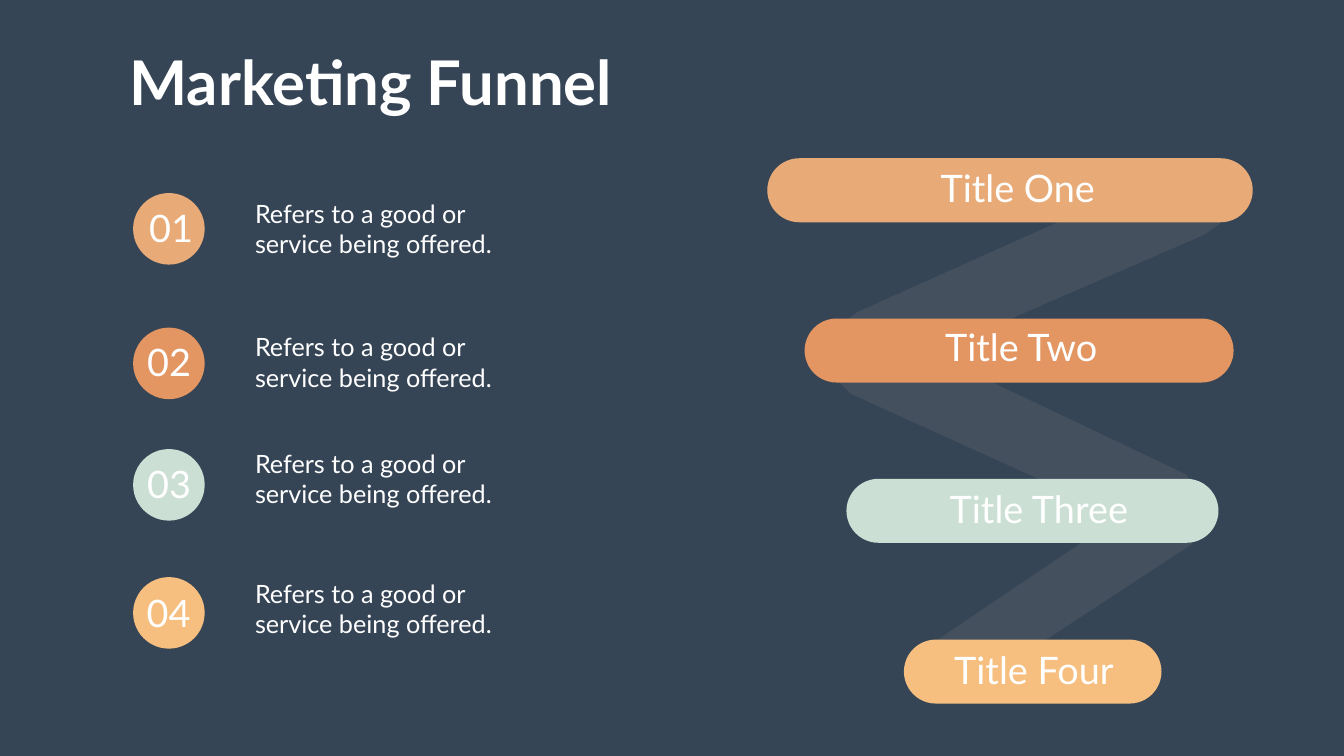
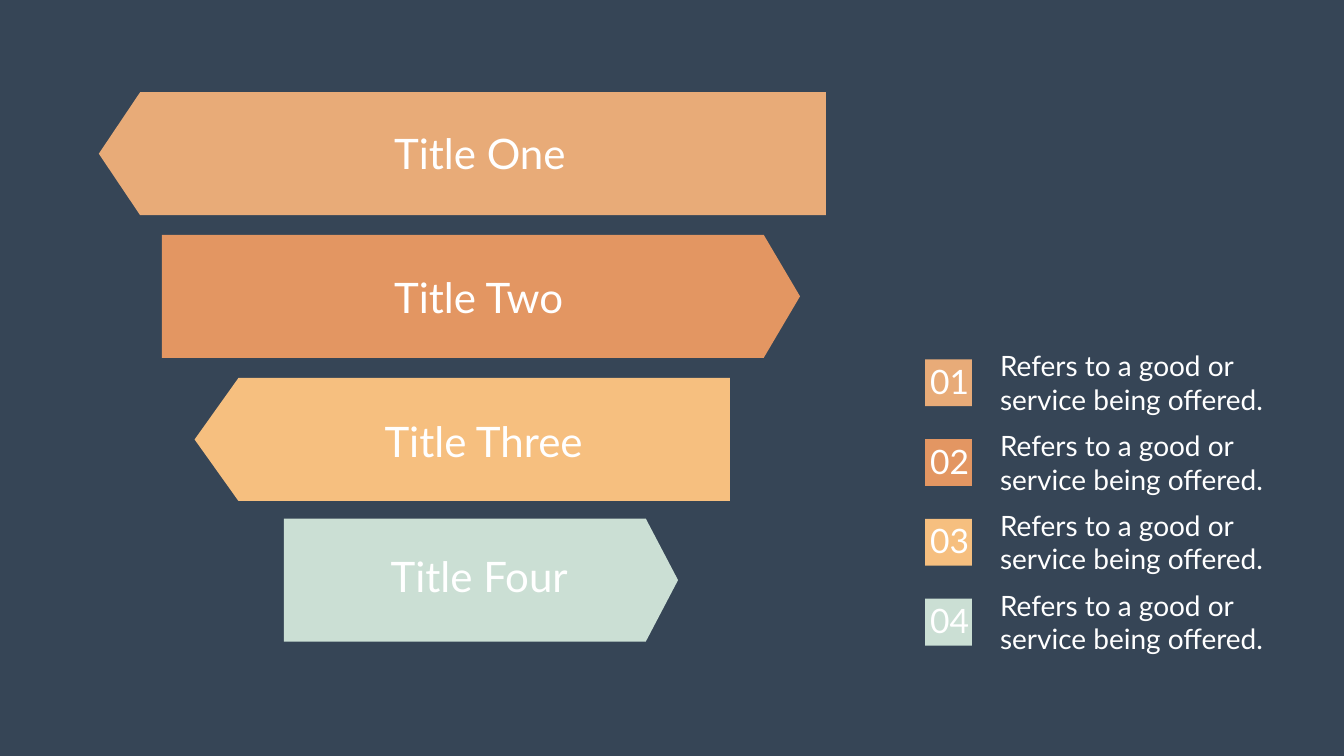
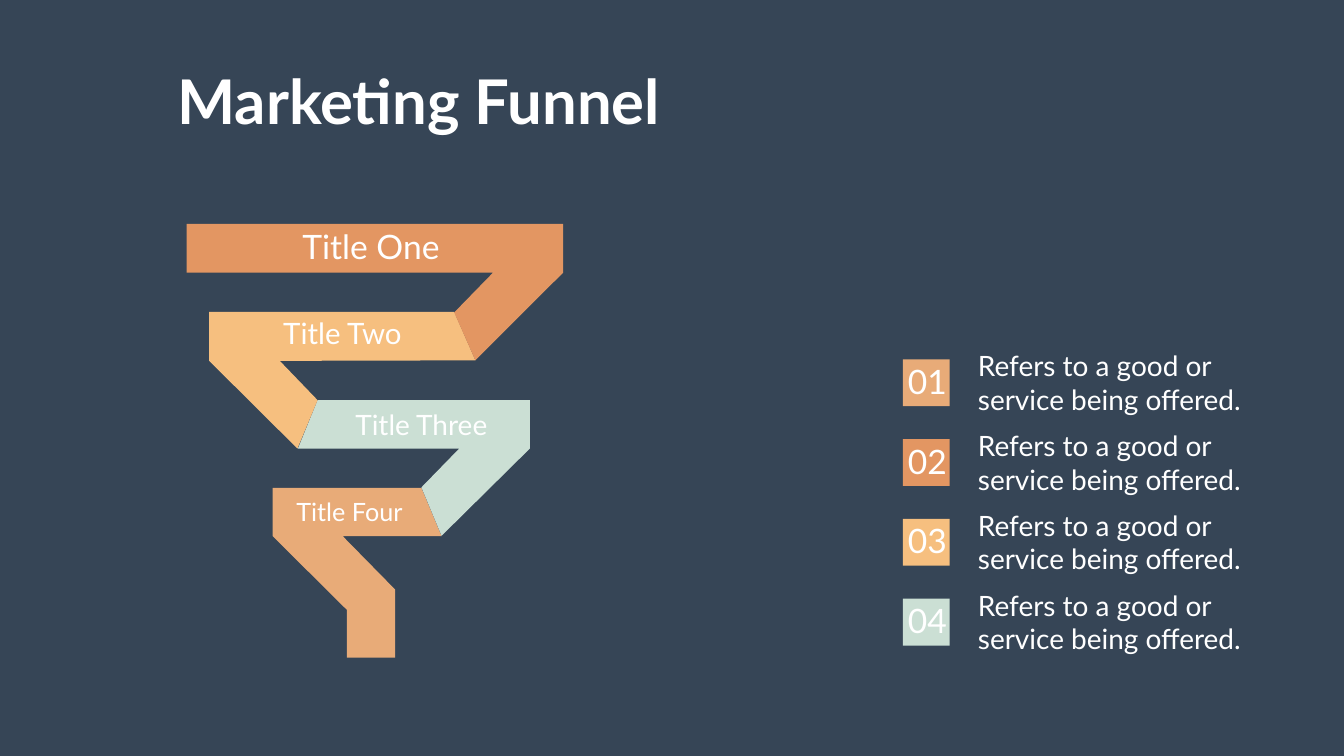
from dataclasses import dataclass

import pptx
import pptx.dml.color
import pptx.enum.shapes
import pptx.enum.text
import pptx.oxml
import pptx.oxml.ns
import pptx.presentation
import pptx.shapes.base
import pptx.slide
import pptx.text.text
import pptx.util

Inches = pptx.util.Inches
Shape = pptx.enum.shapes.MSO_SHAPE
Point = tuple[float, float]


# Theme: colours and type sizes
@dataclass(frozen=True)
class Theme:
    font: str = "Lato"
    background: str = "364556"
    text: str = "FFFFFF"
    sand: str = "E8AB78"
    orange: str = "E39662"
    mint: str = "CBDFD4"
    yellow: str = "F6BF7F"
    ribbon: str = "808080"
    ribbon_opacity: int = 20
    title_size: int = 88
    arrow_size: int = 60
    pill_size: int = 54
    number_size: int = 48
    legend_size: int = 40
    body_size: int = 36


THEME = Theme()
DESCRIPTION = "Refers to a good or\nservice being offered."


# Repeated elements
@dataclass(frozen=True)
class Label:
    text: str
    left: float
    top: float
    width: float
    height: float
    size: int


@dataclass(frozen=True)
class Pill:
    left: float
    right: float
    top: float
    color: str


@dataclass(frozen=True)
class Arrow:
    base: float
    shoulder: float
    tip: float
    top: float
    color: str


@dataclass(frozen=True)
class Marker:
    top: float
    number_left: float
    number_top: float
    text_top: float
    color: str


@dataclass(frozen=True)
class MarkerStyle:
    """What the markers of one list have in common."""
    shape: Shape
    left: float
    side: float
    number_size: int
    number_box: Point
    text_left: float
    text_size: int
    text_box: Point


@dataclass(frozen=True)
class Band:
    color: str
    points: list[Point]


# Drawing functions
def paint(shape: pptx.shapes.base.BaseShape, color: str) -> None:
    shape.shadow.inherit = False
    shape.fill.solid()
    shape.fill.fore_color.rgb = pptx.dml.color.RGBColor.from_string(color)
    shape.line.fill.background()


def write_text(text_frame: pptx.text.text.TextFrame, text: str, size: int,
               bold: bool = False) -> None:
    text_frame.text = text
    text_frame.word_wrap = False
    text_frame.auto_size = pptx.enum.text.MSO_AUTO_SIZE.SHAPE_TO_FIT_TEXT
    text_frame.vertical_anchor = pptx.enum.text.MSO_ANCHOR.TOP
    for paragraph in text_frame.paragraphs:
        paragraph.alignment = pptx.enum.text.PP_ALIGN.LEFT
        for run in paragraph.runs:
            run.font.name = THEME.font
            run.font.size = pptx.util.Pt(size)
            run.font.bold = bold
            run.font.color.rgb = pptx.dml.color.RGBColor.from_string(THEME.text)


def add_label(slide: pptx.slide.Slide, label: Label) -> None:
    box = slide.shapes.add_textbox(Inches(label.left), Inches(label.top),
                                   Inches(label.width), Inches(label.height))
    write_text(box.text_frame, label.text, label.size)


def set_title(slide: pptx.slide.Slide, left: float, top: float) -> None:
    title = slide.shapes.title
    title.left, title.top = Inches(left), Inches(top)
    title.width, title.height = Inches(10.01), Inches(1.58)
    write_text(title.text_frame, "Marketing Funnel", THEME.title_size, bold=True)


def add_outline(slide: pptx.slide.Slide, points: list[Point],
                color: str) -> pptx.shapes.base.BaseShape:
    corners = [(Inches(x), Inches(y)) for x, y in points]
    builder = slide.shapes.build_freeform(*corners[0])
    builder.add_line_segments(corners[1:], close=True)
    shape = builder.convert_to_shape()
    paint(shape, color)
    return shape


def add_ribbon(slide: pptx.slide.Slide, points: list[Point]) -> None:
    shape = add_outline(slide, points, THEME.ribbon)
    color = shape.fill._xPr.find(".//" + pptx.oxml.ns.qn("a:srgbClr"))
    alpha = pptx.oxml.parse_xml(
        f'<a:alpha {pptx.oxml.ns.nsdecls("a")} val="{THEME.ribbon_opacity * 1000}"/>')
    color.append(alpha)


def add_pill(slide: pptx.slide.Slide, pill: Pill) -> None:
    shape = slide.shapes.add_shape(
        Shape.ROUNDED_RECTANGLE, Inches(pill.left), Inches(pill.top),
        Inches(pill.right - pill.left), Inches(1.27))
    shape.adjustments[0] = 0.5
    paint(shape, pill.color)


def add_arrow(slide: pptx.slide.Slide, arrow: Arrow) -> None:
    height = 2.44
    bottom = arrow.top + height
    add_outline(slide, [(arrow.base, bottom), (arrow.shoulder, bottom),
                        (arrow.tip, arrow.top + height / 2),
                        (arrow.shoulder, arrow.top), (arrow.base, arrow.top)],
                arrow.color)


def add_markers(slide: pptx.slide.Slide, style: MarkerStyle,
                markers: list[Marker]) -> None:
    for number, marker in enumerate(markers, start=1):
        shape = slide.shapes.add_shape(style.shape, Inches(style.left), Inches(marker.top),
                                       Inches(style.side), Inches(style.side))
        paint(shape, marker.color)
        add_label(slide, Label(f"{number:02d}", marker.number_left, marker.number_top,
                               *style.number_box, style.number_size))
        add_label(slide, Label(DESCRIPTION, style.text_left, marker.text_top,
                               *style.text_box, style.text_size))


def add_square_legend(slide: pptx.slide.Slide, left: float) -> None:
    style = MarkerStyle(Shape.RECTANGLE, left, 0.93, THEME.number_size, (0.98, 0.91),
                        left + 1.39, THEME.legend_size, (5.52, 1.45))
    markers = []
    for row, color in enumerate((THEME.sand, THEME.orange, THEME.yellow, THEME.mint)):
        top = 7.13 + row * 1.583
        markers.append(Marker(top, left, top - 0.02, top - 0.26, color))
    add_markers(slide, style, markers)


# Slide 1: pills joined by a zigzag ribbon
RIBBONS = [
    [(23.88, 4.66), (17.37, 7.49), (16.96, 7.54), (16.48, 6.95), (16.61, 6.52),
     (16.99, 6.2), (23.46, 3.3), (23.9, 3.28), (24.28, 3.51), (24.35, 4.18),
     (24.17, 4.46)],
    [(23.62, 10.81), (19.03, 13.82), (18.73, 13.92), (18.43, 13.84), (18.19, 13.52),
     (18.05, 13.14), (18.53, 12.74), (23.08, 9.67), (23.53, 9.59), (23.88, 9.83),
     (23.97, 10.39)],
    [(16.87, 7.81), (23.11, 10.64), (23.59, 10.69), (23.99, 10.1), (23.52, 9.41),
     (17.34, 6.47), (16.88, 6.42), (16.53, 6.66), (16.43, 7.35)],
]
PILLS = [
    Pill(15.22, 24.85, 3.14, THEME.sand),
    Pill(15.96, 24.47, 6.32, THEME.orange),
    Pill(16.79, 24.17, 9.5, THEME.mint),
    Pill(17.93, 23.04, 12.69, THEME.yellow),
]
PILL_LABELS = [
    Label("Title One", 18.56, 3.22, 3.3, 1.01, THEME.pill_size),
    Label("Title Two", 18.65, 6.38, 3.35, 1.01, THEME.pill_size),
    Label("Title Three", 18.74, 9.58, 3.82, 1.01, THEME.pill_size),
    Label("Title Four", 18.83, 12.78, 3.43, 1.01, THEME.pill_size),
]
CIRCLE_STYLE = MarkerStyle(Shape.OVAL, 2.64, 1.42, THEME.pill_size, (1.08, 1.01),
                           4.96, THEME.body_size, (4.99, 1.31))
CIRCLES = [
    Marker(3.83, 2.86, 4.02, 3.89, THEME.sand),
    Marker(6.5, 2.82, 6.68, 6.53, THEME.orange),
    Marker(8.91, 2.82, 9.09, 8.84, THEME.mint),
    Marker(11.45, 2.81, 11.65, 11.43, THEME.yellow),
]


def build_pill_slide(slide: pptx.slide.Slide) -> None:
    set_title(slide, 2.47, 0.82)
    for points in RIBBONS:
        add_ribbon(slide, points)
    for pill in PILLS:
        add_pill(slide, pill)
    for label in PILL_LABELS:
        add_label(slide, label)
    add_markers(slide, CIRCLE_STYLE, CIRCLES)


# Slide 2: arrows pointing left and right in turn
ARROWS = [
    Arrow(16.38, 2.78, 1.96, 1.83, THEME.sand),
    Arrow(3.21, 15.15, 15.87, 4.66, THEME.orange),
    Arrow(14.48, 4.73, 3.86, 7.5, THEME.yellow),
    Arrow(5.63, 12.81, 13.45, 10.29, THEME.mint),
]
ARROW_LABELS = [
    Label("Title One", 7.72, 2.49, 3.64, 1.11, THEME.arrow_size),
    Label("Title Two", 7.72, 5.33, 3.69, 1.11, THEME.arrow_size),
    Label("Title Three", 7.53, 8.2, 4.22, 1.11, THEME.arrow_size),
    Label("Title Four", 7.65, 10.87, 3.79, 1.11, THEME.arrow_size),
]


def build_arrow_slide(slide: pptx.slide.Slide) -> None:
    for arrow in ARROWS:
        add_arrow(slide, arrow)
    for label in ARROW_LABELS:
        add_label(slide, label)
    add_square_legend(slide, 18.35)


# Slide 3: folded bands, from the bottom up
BANDS = [
    Band(THEME.sand, [(8.36, 9.68), (5.41, 9.68), (5.41, 10.64), (6.88, 12.1),
                      (6.88, 13.05), (7.84, 13.05), (7.84, 11.7), (6.8, 10.64),
                      (8.76, 10.64)]),
    Band(THEME.mint, [(6.3, 7.94), (5.91, 8.9), (9.11, 8.9), (8.36, 9.67),
                      (8.76, 10.63), (10.51, 8.9), (10.51, 7.94)]),
    Band(THEME.yellow, [(5.9, 8.9), (6.3, 7.94), (5.55, 7.16), (9.43, 7.15),
                        (9.01, 6.19), (4.15, 6.19), (4.15, 7.16)]),
    Band(THEME.orange, [(9.01, 6.2), (9.43, 7.15), (11.17, 5.41), (11.17, 4.44),
                        (3.7, 4.44), (3.7, 5.41), (9.78, 5.41)]),
]
BAND_LABELS = [
    Label("Title One", 5.9, 4.44, 2.96, 0.91, 48),
    Label("Title Two", 5.52, 6.2, 2.65, 0.81, 42),
    Label("Title Three", 6.95, 8.03, 2.88, 0.77, 40),
    Label("Title Four", 5.78, 9.79, 2.35, 0.71, 36),
]


def build_band_slide(slide: pptx.slide.Slide) -> None:
    set_title(slide, 3.42, 1.2)
    for band in BANDS:
        add_outline(slide, band.points, band.color)
    add_square_legend(slide, 17.91)
    for label in BAND_LABELS:
        add_label(slide, label)


def main() -> None:
    presentation = pptx.Presentation()
    presentation.slide_width, presentation.slide_height = Inches(26.66), Inches(15)
    background = presentation.slide_master.background.fill
    background.solid()
    background.fore_color.rgb = pptx.dml.color.RGBColor.from_string(THEME.background)

    title_only = presentation.slide_layouts.get_by_name("Title Only")
    blank = presentation.slide_layouts.get_by_name("Blank")
    build_pill_slide(presentation.slides.add_slide(title_only))
    build_arrow_slide(presentation.slides.add_slide(blank))
    build_band_slide(presentation.slides.add_slide(title_only))
    presentation.save("out.pptx")


if __name__ == "__main__":
    main()
